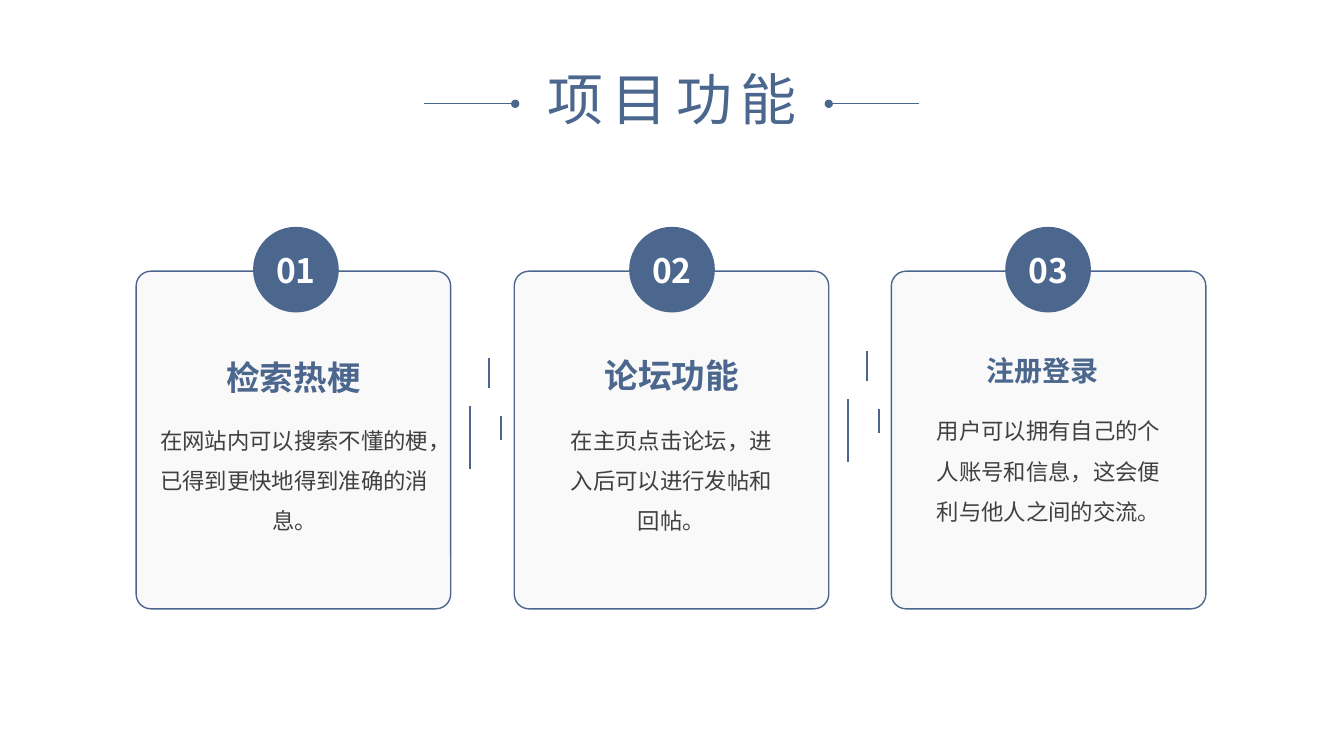
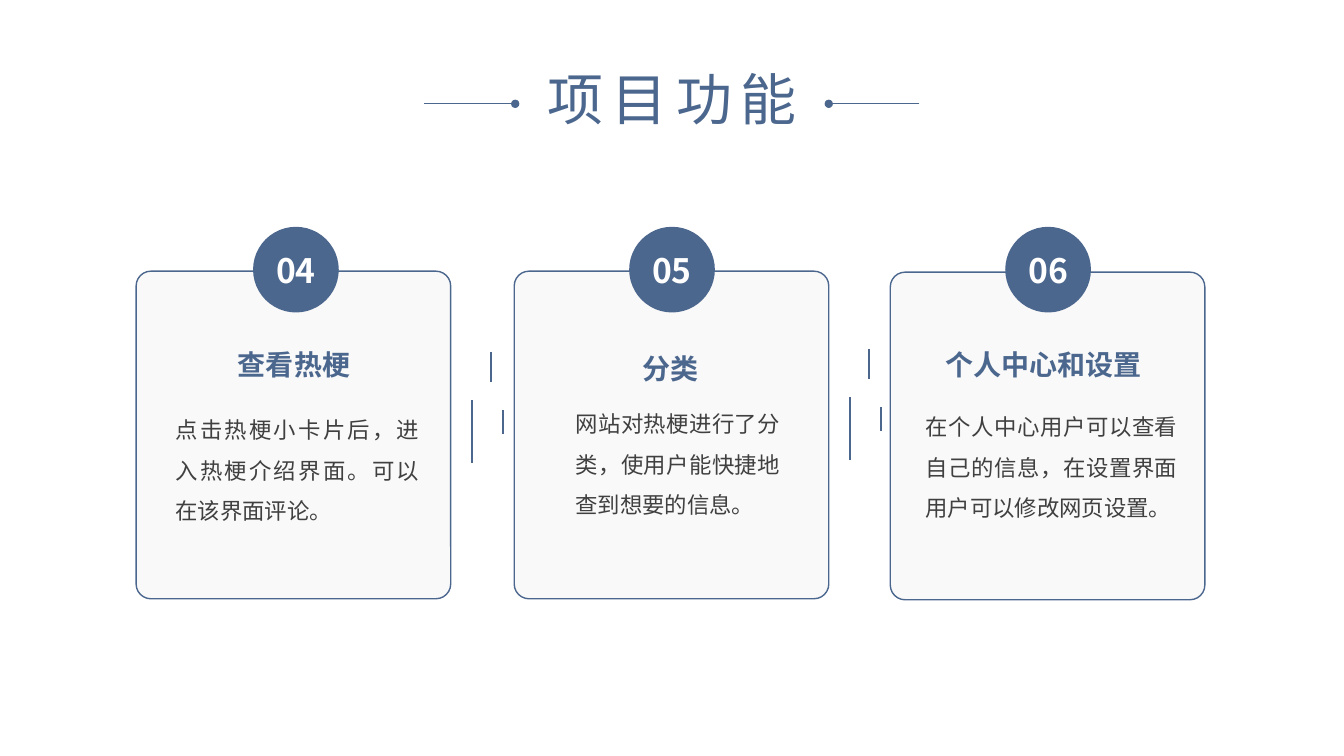
"""Builds two slides that present six project functions on cards."""
import typing

import pptx
import pptx.dml.color
import pptx.enum.shapes
import pptx.enum.text
import pptx.oxml.ns
import pptx.util
from lxml import etree

Inches = pptx.util.Inches
Pt = pptx.util.Pt
RGBColor = pptx.dml.color.RGBColor
SHAPE = pptx.enum.shapes.MSO_SHAPE
ALIGN = pptx.enum.text.PP_ALIGN
qn = pptx.oxml.ns.qn

BLUE = RGBColor(0x4C, 0x67, 0x8E)
PALE = RGBColor(0xF2, 0xF2, 0xF2)
DARK = RGBColor(0x40, 0x40, 0x40)
WHITE = RGBColor(0xFF, 0xFF, 0xFF)
FONT = "Noto Sans CJK SC"

CARD_W = 3.12
BADGE_LEFT, BADGE_TOP, BADGE_SIZE, BADGE_PITCH = 2.51, 2.25, 0.85, 3.73
BARS = ((0.19, 0, 0.3), (0.31, 0.58, 0.24), (0, 0.48, 0.62))


class Label(typing.NamedTuple):
    """Text with its left, top and width measured from the card corner."""
    text: str
    dx: float
    dy: float
    w: float
    align: typing.Any = ALIGN.CENTER
    size: int = 16


class Card(typing.NamedTuple):
    """A card corner with its heading and body."""
    left: float
    top: float
    heading: Label
    body: Label


def write(tf, text, size, color, align=ALIGN.CENTER, bold=False, inset=0):
    """Fill a text frame with one styled paragraph and return it."""
    tf.word_wrap = True
    tf.margin_left = tf.margin_right = Inches(inset)
    tf.margin_top = tf.margin_bottom = Inches(inset / 2)
    tf.text = text
    p = tf.paragraphs[0]
    p.alignment = align
    font = p.runs[0].font
    font.size, font.bold, font.name = Pt(size), bold, FONT
    font.color.rgb = color
    etree.SubElement(p.runs[0]._r.rPr, qn("a:ea"), typeface=FONT)
    return p


def add_line(slide, start, end, width, dot=False):
    """Draw a blue line, with a dot at its end if wanted."""
    line = slide.shapes.add_connector(
        pptx.enum.shapes.MSO_CONNECTOR.STRAIGHT,
        *(Inches(v) for v in (*start, *end)))
    line.line.color.rgb = BLUE
    line.line.width = Pt(width)
    if dot:
        etree.SubElement(line.line._get_or_add_ln(), qn("a:tailEnd"), type="oval")
    etree.SubElement(line._element.spPr, qn("a:effectLst"))


def add_shape(slide, kind, box, fill):
    """Add a filled preset shape without a shadow."""
    sp = slide.shapes.add_shape(kind, *(Inches(v) for v in box))
    sp.shadow.inherit = False
    sp.fill.solid()
    sp.fill.fore_color.rgb = fill
    return sp


def add_title(slide, text, left, top, w, h):
    """Place the spaced title between two dotted rules."""
    sp = slide.shapes.add_textbox(*(Inches(v) for v in (left, top, w, h)))
    p = write(sp.text_frame, text, 40, BLUE, inset=0.1)
    p.runs[0]._r.rPr.set("spc", "600")
    y = top + 0.44
    add_line(slide, (left - 0.95, y), (left - 0.05, y), 0.5, dot=True)
    add_line(slide, (left + w + 0.95, y), (left + w + 0.05, y), 0.5, dot=True)


def add_label(slide, card, label, h, color, bold=False):
    """Place a heading or body text on its card."""
    box = (card.left + label.dx, card.top + label.dy, label.w, h)
    sp = slide.shapes.add_textbox(*(Inches(v) for v in box))
    p = write(sp.text_frame, label.text, label.size, color, label.align, bold)
    p.line_spacing = 1.5


def add_card(slide, card, h):
    """Draw one rounded card with its texts."""
    sp = add_shape(slide, SHAPE.ROUNDED_RECTANGLE,
                   (card.left, card.top, CARD_W, h), PALE)
    sp.adjustments[0] = 0.047
    sp.line.color.rgb = BLUE
    sp.line.width = Pt(1)
    color = sp._element.spPr.find(qn("a:solidFill")).find(qn("a:srgbClr"))
    etree.SubElement(color, qn("a:alpha"), val="44000")
    add_label(slide, card, card.heading, 0.5, BLUE, bold=True)
    add_label(slide, card, card.body, 1.16, DARK)


def add_badge(slide, number, left, top):
    """Draw a numbered circle."""
    sp = add_shape(slide, SHAPE.OVAL, (left, top, BADGE_SIZE, BADGE_SIZE), BLUE)
    sp.line.fill.background()
    write(sp.text_frame, f"{number:02d}", 24, WHITE, bold=True)
    sp.text_frame.vertical_anchor = pptx.enum.text.MSO_ANCHOR.MIDDLE


def add_bars(slide, left, top):
    """Draw the three upright strokes between two cards."""
    for dx, dy, length in BARS:
        x, y = left + dx, top + dy
        add_line(slide, (x, y), (x, y + length), 1)


def add_cards_slide(prs, first, cards, card_h, bars):
    """Add a slide with a title, numbered cards and strokes between them."""
    slide = prs.slides.add_slide(prs.slide_layouts[6])
    add_title(slide, "项目功能", 5.16, 0.59, 3.01, 0.77)
    for i, card in enumerate(cards):
        add_card(slide, card, card_h)
        add_badge(slide, first + i, BADGE_LEFT + i * BADGE_PITCH, BADGE_TOP)
    for left, top in bars:
        add_bars(slide, left, top)


def main():
    """Build and save the presentation."""
    prs = pptx.Presentation()
    prs.slide_width, prs.slide_height = Inches(13.33), Inches(7.5)
    just = ALIGN.JUSTIFY
    add_cards_slide(prs, 1, (
        Card(1.35, 2.69,
             Label("检索热梗", -0.03, 0.65, 3.18, size=24),
             Label("在网站内可以搜索不懂的梗，已得到更快地得到准确的消息。",
                   0.2, 1.41, 2.74)),
        Card(5.1, 2.69,
             Label("论坛功能", 0.76, 0.63, 1.61, size=24),
             Label("在主页点击论坛，进入后可以进行发帖和回帖。",
                   0.47, 1.41, 2.18)),
        Card(8.84, 2.69,
             Label("注册登录", 0.94, 0.65, 1.23, just, 20),
             Label("用户可以拥有自己的个人账号和信息，这会便利与他人之间的交流。",
                   0.35, 1.32, 2.42)),
    ), 3.35, ((4.66, 3.55), (8.41, 3.48)))
    add_cards_slide(prs, 4, (
        Card(1.35, 2.69,
             Label("查看热梗", 1.01, 0.59, 1.15, just, 20),
             Label("点击热梗小卡片后，进入热梗介绍界面。可以在该界面评论。",
                   0.39, 1.31, 2.42, just)),
        Card(5.1, 2.69,
             Label("分类", 1.27, 0.63, 1.23, just, 20),
             Label("网站对热梗进行了分类，使用户能快捷地查到想要的信息。",
                   0.61, 1.25, 2.03, just)),
        Card(8.83, 2.7,
             Label("个人中心和设置", 0.55, 0.58, 2.04, just, 20),
             Label("在个人中心用户可以查看自己的信息，在设置界面用户可以修改网页设置。",
                   0.35, 1.27, 2.5, just)),
    ), 3.25, ((4.68, 3.49), (8.43, 3.46)))
    prs.save("out.pptx")


if __name__ == "__main__":
    main()
